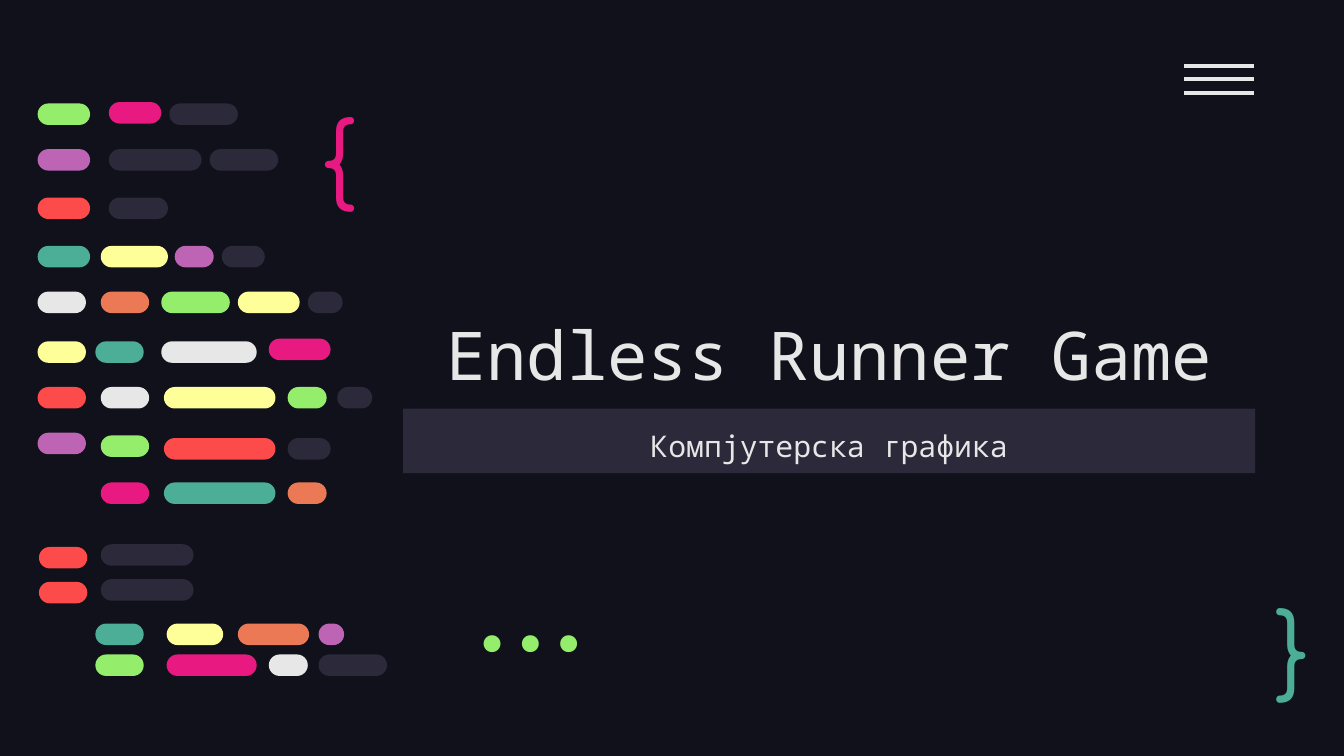
from dataclasses import dataclass

from lxml import etree
from pptx import Presentation
from pptx.dml.color import RGBColor
from pptx.enum.shapes import MSO_CONNECTOR, MSO_SHAPE
from pptx.enum.text import MSO_ANCHOR, MSO_AUTO_SIZE, PP_ALIGN
from pptx.oxml.ns import qn
from pptx.util import Pt

PX = 9144  # 100 px to the inch
SLIDE_W = 1000
RECT, ROUND_RECT = MSO_SHAPE.RECTANGLE, MSO_SHAPE.ROUNDED_RECTANGLE
TOP, MIDDLE, BOTTOM = MSO_ANCHOR.TOP, MSO_ANCHOR.MIDDLE, MSO_ANCHOR.BOTTOM
LEFT, CENTER, RIGHT = PP_ALIGN.LEFT, PP_ALIGN.CENTER, PP_ALIGN.RIGHT
STRAIGHT = MSO_CONNECTOR.STRAIGHT
NO_AUTOFIT = MSO_AUTO_SIZE.NONE
TITLE_ONLY = 5
BAR_H = 16


@dataclass(frozen=True)
class Theme:
    background: str = "10111A"
    panel: str = "2C293A"
    light: str = "E7E7E7"
    green: str = "94EE6B"
    pink: str = "E81A81"
    purple: str = "BD64B5"
    red: str = "FD4A4A"
    teal: str = "4CAE97"
    yellow: str = "FFFF99"
    orange: str = "EC7955"
    mono: str = "Noto Sans Mono"
    title_size: int = 36
    subtitle_size: int = 16
    symbol_size: int = 50
    line_width: float = 2.25


T = Theme()


@dataclass(frozen=True)
class Bar:
    x: int
    w: int
    color: str


@dataclass(frozen=True)
class CodeLine:
    y: int
    bars: tuple[Bar, ...]


@dataclass(frozen=True)
class Label:
    text: str
    box: tuple[int, int, int, int]
    size: int
    font: str
    color: str
    align: PP_ALIGN = LEFT
    anchor: MSO_ANCHOR = TOP
    spacing: float = 1.0


TITLE = Label("Endless Runner Game", (300, 80, 634, 224), T.title_size,
              T.mono, T.light, CENTER, BOTTOM, 0.9)
SUBTITLE = Label("Компјутерска графика", (300, 304, 634, 48), T.subtitle_size,
                 T.mono, T.light, CENTER, TOP, 1.15)
SYMBOLS = (
    Label("{", (229, 62, 77, 95), T.symbol_size, "Comfortaa", T.pink),
    Label("}", (939, 438, 57, 83), T.symbol_size, "Comfortaa", T.teal,
          anchor=MIDDLE),
    Label("...", (311, 449, 158, 60), T.symbol_size, "Fira Code", T.green,
          RIGHT, BOTTOM),
)

CODE = (
    CodeLine(76, (Bar(81, 39, T.pink),)),
    CodeLine(77, (Bar(28, 39, T.green), Bar(126, 51, T.panel))),
    CodeLine(111, (Bar(28, 39, T.purple), Bar(81, 69, T.panel),
                   Bar(156, 51, T.panel))),
    CodeLine(147, (Bar(28, 39, T.red), Bar(81, 44, T.panel))),
    CodeLine(183, (Bar(28, 39, T.teal), Bar(75, 50, T.yellow),
                   Bar(130, 29, T.purple), Bar(165, 32, T.panel))),
    CodeLine(217, (Bar(28, 36, T.light), Bar(75, 36, T.orange),
                   Bar(120, 51, T.green), Bar(177, 46, T.yellow),
                   Bar(229, 26, T.panel))),
    CodeLine(252, (Bar(200, 46, T.pink),)),
    CodeLine(254, (Bar(28, 36, T.yellow), Bar(71, 36, T.teal),
                   Bar(120, 71, T.light))),
    CodeLine(288, (Bar(28, 36, T.red), Bar(75, 36, T.light),
                   Bar(122, 83, T.yellow), Bar(214, 29, T.green),
                   Bar(251, 26, T.panel))),
    CodeLine(322, (Bar(28, 36, T.purple),)),
    CodeLine(324, (Bar(75, 36, T.green),)),
    CodeLine(326, (Bar(122, 83, T.red), Bar(214, 32, T.panel))),
    CodeLine(359, (Bar(75, 36, T.pink), Bar(122, 83, T.teal),
                   Bar(214, 29, T.orange))),
    CodeLine(405, (Bar(75, 69, T.panel),)),
    CodeLine(407, (Bar(29, 36, T.red),)),
    CodeLine(431, (Bar(75, 69, T.panel),)),
    CodeLine(433, (Bar(29, 36, T.red),)),
    CodeLine(464, (Bar(71, 36, T.teal), Bar(124, 42, T.yellow),
                   Bar(177, 53, T.orange), Bar(237, 19, T.purple))),
    CodeLine(487, (Bar(71, 36, T.green), Bar(124, 67, T.pink),
                   Bar(200, 29, T.light), Bar(237, 51, T.panel))),
)


def rgb(color: str) -> RGBColor:
    return RGBColor.from_string(color)


def emu(*lengths: int) -> list[int]:
    return [n * PX for n in lengths]


def write(sp, label: Label) -> None:
    tf = sp.text_frame
    tf.word_wrap = True
    tf.auto_size = NO_AUTOFIT
    tf.vertical_anchor = label.anchor
    tf.margin_left = tf.margin_right = tf.margin_top = tf.margin_bottom = 10 * PX
    p = tf.paragraphs[0]
    p.alignment = label.align
    p.line_spacing = label.spacing
    p.space_before = Pt(0)
    r = p.add_run()
    r.text = label.text
    r.font.size = Pt(label.size)
    r.font.name = label.font
    r.font.color.rgb = rgb(label.color)


def add_block(shapes, kind: MSO_SHAPE, box: tuple[int, int, int, int], color: str):
    sp = shapes.add_shape(kind, *emu(*box))
    sp.shadow.inherit = False
    sp.fill.solid()
    sp.fill.fore_color.rgb = rgb(color)
    sp.line.fill.background()
    return sp


def add_code_line(shapes, line: CodeLine) -> None:
    for bar in line.bars:
        sp = add_block(shapes, ROUND_RECT, (bar.x, line.y, bar.w, BAR_H), bar.color)
        sp.adjustments[0] = 0.5


def add_menu_line(shapes, y: int) -> None:
    line = shapes.add_connector(STRAIGHT, *emu(881, y, 933, y))
    line.line.color.rgb = rgb(T.light)
    line.line.width = Pt(T.line_width)
    etree.SubElement(line._element.spPr, qn("a:effectLst"))


def main() -> None:
    # Widescreen slide, 16:9
    prs = Presentation()
    prs.slide_width = SLIDE_W * PX
    prs.slide_height = SLIDE_W * PX * 9 // 16
    slide = prs.slides.add_slide(prs.slide_layouts[TITLE_ONLY])
    slide.background.fill.solid()
    slide.background.fill.fore_color.rgb = rgb(T.background)
    shapes = slide.shapes

    # Title and subtitle band
    title = shapes.title
    title.left, title.top, title.width, title.height = emu(*TITLE.box)
    write(title, TITLE)
    write(add_block(shapes, RECT, SUBTITLE.box, T.panel), SUBTITLE)

    # Braces and dots
    for label in SYMBOLS:
        write(shapes.add_textbox(*emu(*label.box)), label)

    # Menu icon
    menu = shapes.add_group_shape()
    for i in range(3):
        add_menu_line(menu.shapes, 49 + 10 * i)

    # Coloured lines of code
    code = shapes.add_group_shape()
    for line in CODE:
        add_code_line(code.shapes, line)

    prs.save("out.pptx")


if __name__ == "__main__":
    main()
